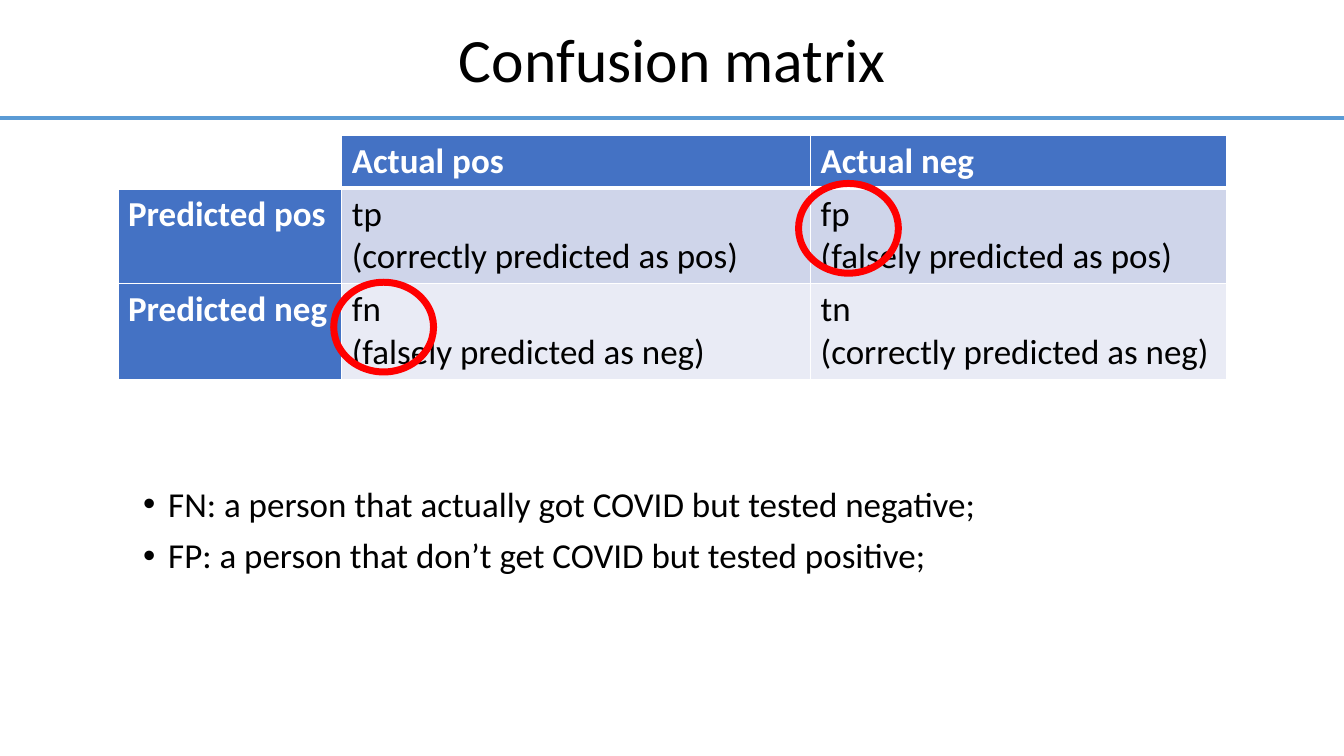
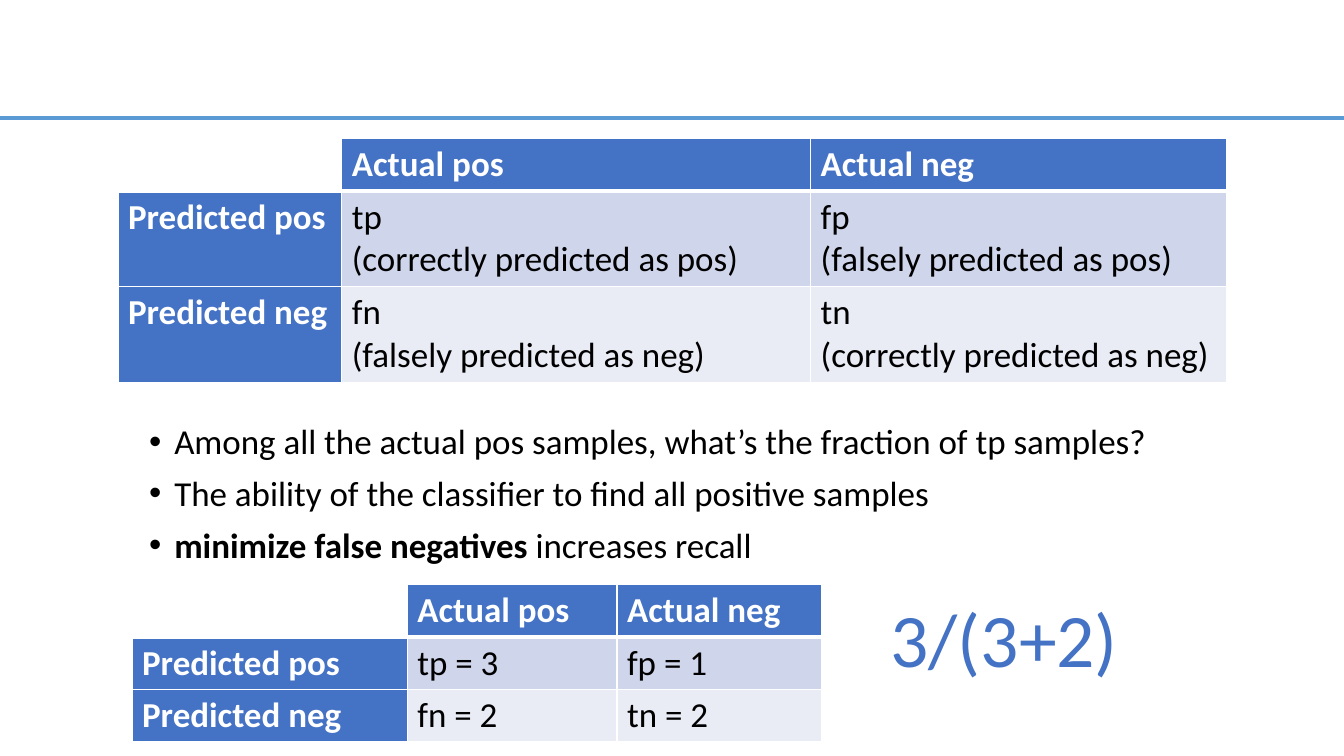
"""Build two slides that explain the confusion matrix and recall."""
from lxml import etree
from pptx import Presentation
from pptx.dml.color import RGBColor
from pptx.enum.shapes import MSO_CONNECTOR, MSO_SHAPE
from pptx.enum.text import MSO_ANCHOR, PP_ALIGN
from pptx.oxml.ns import qn
from pptx.util import Pt

PX = 9144
FONT = "Calibri"
BODY_SIZE = 25
LEFT, CENTER = PP_ALIGN.LEFT, PP_ALIGN.CENTER
TOP, MIDDLE = MSO_ANCHOR.TOP, MSO_ANCHOR.MIDDLE
STRAIGHT = MSO_CONNECTOR.STRAIGHT
ELLIPSE = MSO_SHAPE.OVAL
COLORS = {
    name: RGBColor.from_string(value)
    for name, value in {
        "text": "000000",
        "white": "FFFFFF",
        "header": "4472C4",
        "band_dark": "CFD5EA",
        "band_light": "E9EBF5",
        "rule": "5B9BD5",
        "highlight": "FF0000",
    }.items()
}


def add_text(slide, box, lines, size=BODY_SIZE, color="text", align=LEFT,
             anchor=TOP, spacing=0.9, bullets=False, wrap=True):
    """Add a text box; each line is a list of (text, bold) runs."""
    frame = slide.shapes.add_textbox(*(v * PX for v in box)).text_frame
    frame.word_wrap = wrap
    frame.vertical_anchor = anchor
    for index, runs in enumerate(lines):
        paragraph = frame.paragraphs[0] if index == 0 else frame.add_paragraph()
        if bullets:
            properties = paragraph._p.get_or_add_pPr()
            properties.set("marL", str(25 * PX))
            properties.set("indent", str(-25 * PX))
            etree.SubElement(properties, qn("a:buFont")).set("typeface", "Arial")
            etree.SubElement(properties, qn("a:buChar")).set("char", "•")
            paragraph.space_before = Pt(10)
        paragraph.alignment = align
        paragraph.line_spacing = spacing
        paragraph.font.name = FONT
        paragraph.font.size = Pt(size)
        paragraph.font.color.rgb = COLORS[color]
        for text, bold in runs:
            run = paragraph.add_run()
            run.text = text
            if bold:
                run.font.bold = True


def add_matrix(slide, left, top, widths, heights, outcomes):
    """Add a confusion matrix with the four outcomes given row by row."""
    rows = [["", "Actual pos", "Actual neg"],
            ["Predicted pos", *outcomes[0]],
            ["Predicted neg", *outcomes[1]]]
    table = slide.shapes.add_table(
        3, 3, left * PX, top * PX, sum(widths) * PX, sum(heights) * PX).table
    for column, width in zip(table.columns, widths):
        column.width = width * PX
    for r, (row, height) in enumerate(zip(rows, heights)):
        table.rows[r].height = height * PX
        for c, text in enumerate(row):
            cell = table.cell(r, c)
            borders = cell._tc.get_or_add_tcPr()
            for side in ("lnL", "lnR", "lnT", "lnB"):
                under_header = (r, side) in ((0, "lnB"), (1, "lnT"))
                border = etree.SubElement(borders, qn(f"a:{side}"))
                border.set("w", str(Pt(3 if under_header else 1)))
                paint = etree.SubElement(border, qn("a:solidFill"))
                etree.SubElement(paint, qn("a:srgbClr")).set("val", str(COLORS["white"]))
            is_header = r == 0 or c == 0
            if text:
                fill = "header" if is_header else ("band_dark", "band_light")[r - 1]
                cell.fill.solid()
                cell.fill.fore_color.rgb = COLORS[fill]
            else:
                cell.fill.background()
            cell.text_frame.text = text
            for paragraph in cell.text_frame.paragraphs:
                paragraph.font.name = FONT
                paragraph.font.size = Pt(BODY_SIZE)
                paragraph.font.bold = is_header
                paragraph.font.color.rgb = COLORS["white" if is_header else "text"]


deck = Presentation()
deck.slide_width, deck.slide_height = 1333 * PX, 750 * PX

definitions = [
    ["tp\n(correctly predicted as pos)", "fp\n(falsely predicted as pos)"],
    ["fn\n(falsely predicted as neg)", "tn\n(correctly predicted as neg)"],
]
slides = []
for matrix_top in (134, 137):
    slide = deck.slides.add_slide(deck.slide_layouts[6])
    rule = slide.shapes.add_connector(STRAIGHT, 0, 117 * PX, 1333 * PX, 117 * PX)
    rule.line.color.rgb = COLORS["rule"]
    rule.line.width = Pt(3)
    etree.SubElement(rule._element.spPr, qn("a:effectLst"))
    add_matrix(slide, 117, matrix_top, (222, 465, 413), (52, 95, 95), definitions)
    slides.append(slide)
errors_slide, recall_slide = slides

add_text(errors_slide, (92, 11, 1150, 103), [[("Confusion matrix", False)]],
         size=44, align=CENTER, anchor=MIDDLE)
add_text(errors_slide, (132, 478, 1141, 238), [
    [("FN: a person that actually got COVID but tested negative;", False)],
    [("FP: a person that don’t get COVID but tested positive;", False)],
], bullets=True)
for left, top in ((331, 280), (792, 182)):
    error_ring = errors_slide.shapes.add_shape(
        ELLIPSE, left * PX, top * PX, 99 * PX, 89 * PX)
    error_ring.shadow.inherit = False
    error_ring.fill.background()
    error_ring.line.color.rgb = COLORS["highlight"]
    error_ring.line.width = Pt(5)

add_text(recall_slide, (138, 416, 1189, 155), [
    [("Among all the actual pos samples, what’s the fraction of tp samples?", False)],
    [("The ability of the classifier to find all positive samples", False)],
    [("minimize false negatives", True), (" increases recall", False)],
], bullets=True)
add_matrix(recall_slide, 131, 580, (273, 208, 203), (52, 52, 52),
           [["tp = 3", "fp = 1"], ["fn = 2", "tn = 2"]])
add_text(recall_slide, (872, 582, 248, 101), [[("3/(3+2)", False)]],
         size=54, color="header", align=CENTER, spacing=1.0, wrap=False)

deck.save("out.pptx")
